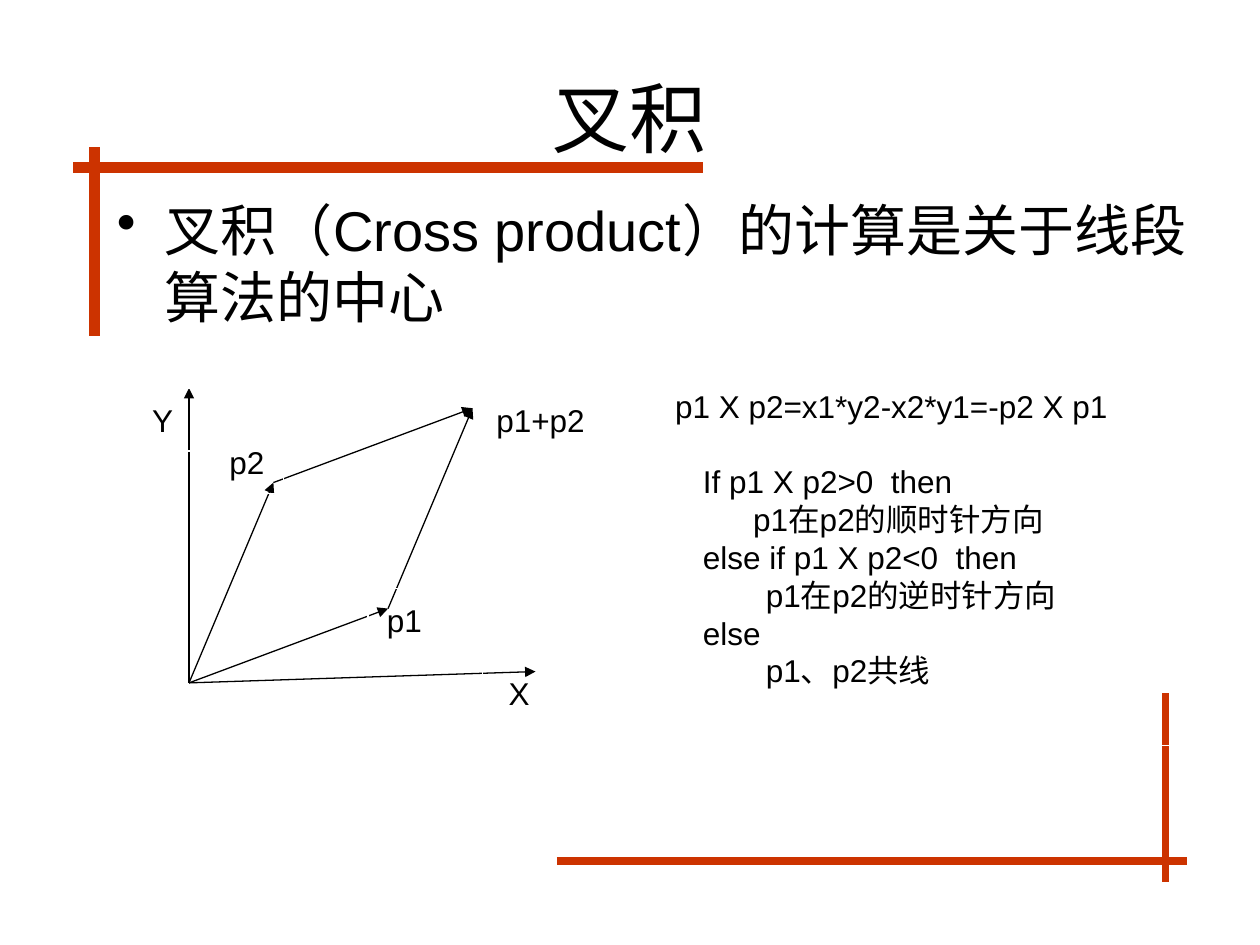
import pptx
import pptx.util
import pptx.dml.color
import pptx.enum.shapes
import pptx.enum.text
import pptx.oxml
import pptx.oxml.ns

Inches = pptx.util.Inches
Pt = pptx.util.Pt
ALIGN = pptx.enum.text.PP_ALIGN
ANCHOR = pptx.enum.text.MSO_ANCHOR
INK, RED, WHITE = "000000", "CC3300", "FFFFFF"


def color(text):
    """Turn a hex string into a colour."""
    return pptx.dml.color.RGBColor.from_string(text)


def apply(item, values):
    """Set each named attribute on the item."""
    for name, value in values.items():
        setattr(item, name, value)


def child(parent, tag, **attrs):
    """Append a drawing element with attributes."""
    node = pptx.oxml.parse_xml(f'<a:{tag} {pptx.oxml.ns.nsdecls("a")}/>')
    for name, value in attrs.items():
        node.set(name, str(value))
    parent.append(node)


def stroke(slide, start, end, hue, width, arrow=False):
    """Draw a straight line, with an arrowhead at its end if asked."""
    line = slide.shapes.add_connector(
        pptx.enum.shapes.MSO_CONNECTOR.STRAIGHT,
        *(Inches(v) for v in (*start, *end)))
    line.line.color.rgb = color(hue)
    line.line.width = Pt(width)
    if arrow:
        child(line.line._get_or_add_ln(), "tailEnd", type="triangle")
    child(line._element.spPr, "effectLst")


def write(para, text, size, **form):
    """Fill a paragraph with text in the slide's font."""
    apply(para, form)
    run = para.add_run()
    run.text = text
    apply(run.font, {"name": "Arial", "size": Pt(size)})
    run.font.color.rgb = color(INK)


def indent(para, left, first=0):
    """Set the left margin and first-line indent of a paragraph."""
    props = para._p.get_or_add_pPr()
    props.set("marL", str(Inches(left)))
    props.set("indent", str(Inches(first)))


def panel(slide, box, **form):
    """Add a white-edged rectangle without fill and return its text frame."""
    shape = slide.shapes.add_shape(
        pptx.enum.shapes.MSO_SHAPE.RECTANGLE, *(Inches(v) for v in box))
    shape.shadow.inherit = False
    shape.fill.background()
    shape.line.color.rgb = color(WHITE)
    shape.line.width = Pt(0.75)
    apply(shape.text_frame, form)
    return shape.text_frame


def corner(slide, box, across, down, width):
    """Draw two crossing bars within a box, at the given offsets."""
    left, top, wide, high = box
    stroke(slide, (left, top + down), (left + wide, top + down), RED, width)
    stroke(slide, (left + across, top), (left + across, top + high), RED, width)


def title(slide, box):
    """Write the centred heading."""
    frame = slide.shapes.add_textbox(*(Inches(v) for v in box)).text_frame
    apply(frame, {"word_wrap": True, "vertical_anchor": ANCHOR.MIDDLE})
    write(frame.paragraphs[0], "叉积", 44, alignment=ALIGN.CENTER)


def body(slide, box):
    """Write the bulleted statement."""
    frame = slide.shapes.add_textbox(*(Inches(v) for v in box)).text_frame
    frame.word_wrap = True
    para = frame.paragraphs[0]
    write(para, "叉积（Cross product）的计算是关于线段算法的中心", 32,
          space_before=Pt(8))
    indent(para, 0.38, -0.38)
    child(para._p.get_or_add_pPr(), "buChar", char="•")


def graph(slide, box):
    """Draw the axes, the vector parallelogram and its labels."""
    left, top, wide, high = box
    zero = (left + 0.5, top + high)
    one, two = (1.58, -0.59), (0.67, -1.59)

    def spot(*steps):
        """Return the point reached from the origin by the steps."""
        return tuple(base + sum(step) for base, *step in zip(zero, *steps))

    peak = spot(one, two)
    for start, end in (
            (zero, spot((2.75, -0.09))), (zero, (zero[0], top)),
            (zero, spot(one)), (spot(two), peak),
            (zero, spot(two)), (spot(one), peak)):
        stroke(slide, start, end, INK, 0.75, True)
    for text, across, down, width in (
            ("X", 2.83, 2.17, 0.58), ("Y", 0, 0, 0.58),
            ("p1", 1.92, 1.59, 0.58), ("p2", 0.67, 0.34, 0.58),
            ("p1+p2", 2.83, 0, 0.92)):
        frame = panel(slide, (left + across, top + down, width, 0.5),
                      word_wrap=False, vertical_anchor=ANCHOR.MIDDLE)
        write(frame.paragraphs[0], text, 18, alignment=ALIGN.CENTER)


def rules(slide, box):
    """Write the product formula and the three cases."""
    frame = panel(slide, box, word_wrap=True, margin_top=Inches(0.15),
                  vertical_anchor=ANCHOR.TOP)
    pitch = Pt(21.6)
    for row, (text, left) in enumerate((
            ("p1 X p2=x1*y2-x2*y1=-p2 X p1", 0.43),
            ("If p1 X p2>0  then", 0.65),
            ("p1在p2的顺时针方向", 1.05),
            ("else if p1 X p2<0  then", 0.65),
            ("p1在p2的逆时针方向", 1.15),
            ("else", 0.65),
            ("p1、p2共线", 1.15))):
        para = frame.add_paragraph() if row else frame.paragraphs[0]
        write(para, text, 18, alignment=ALIGN.LEFT, line_spacing=pitch,
              space_before=pitch if row == 1 else Pt(0))
        indent(para, left)


def main():
    """Build the slide and save it."""
    deck = pptx.Presentation()
    apply(deck, {"slide_width": Inches(10), "slide_height": Inches(7.5)})
    slide = deck.slides.add_slide(deck.slide_layouts[6])
    corner(slide, (0.58, 1.17, 5, 1.5), 0.17, 0.16, 6)
    corner(slide, (4.42, 5.5, 5, 1.5), 4.83, 1.33, 4.5)
    title(slide, (0.5, 0.3, 9, 1.25))
    body(slide, (0.83, 1.5, 9, 4.95))
    graph(slide, (1, 3.08, 3.75, 2.34))
    rules(slide, (4.83, 2.92, 4.5, 3))
    deck.save("out.pptx")


if __name__ == "__main__":
    main()
